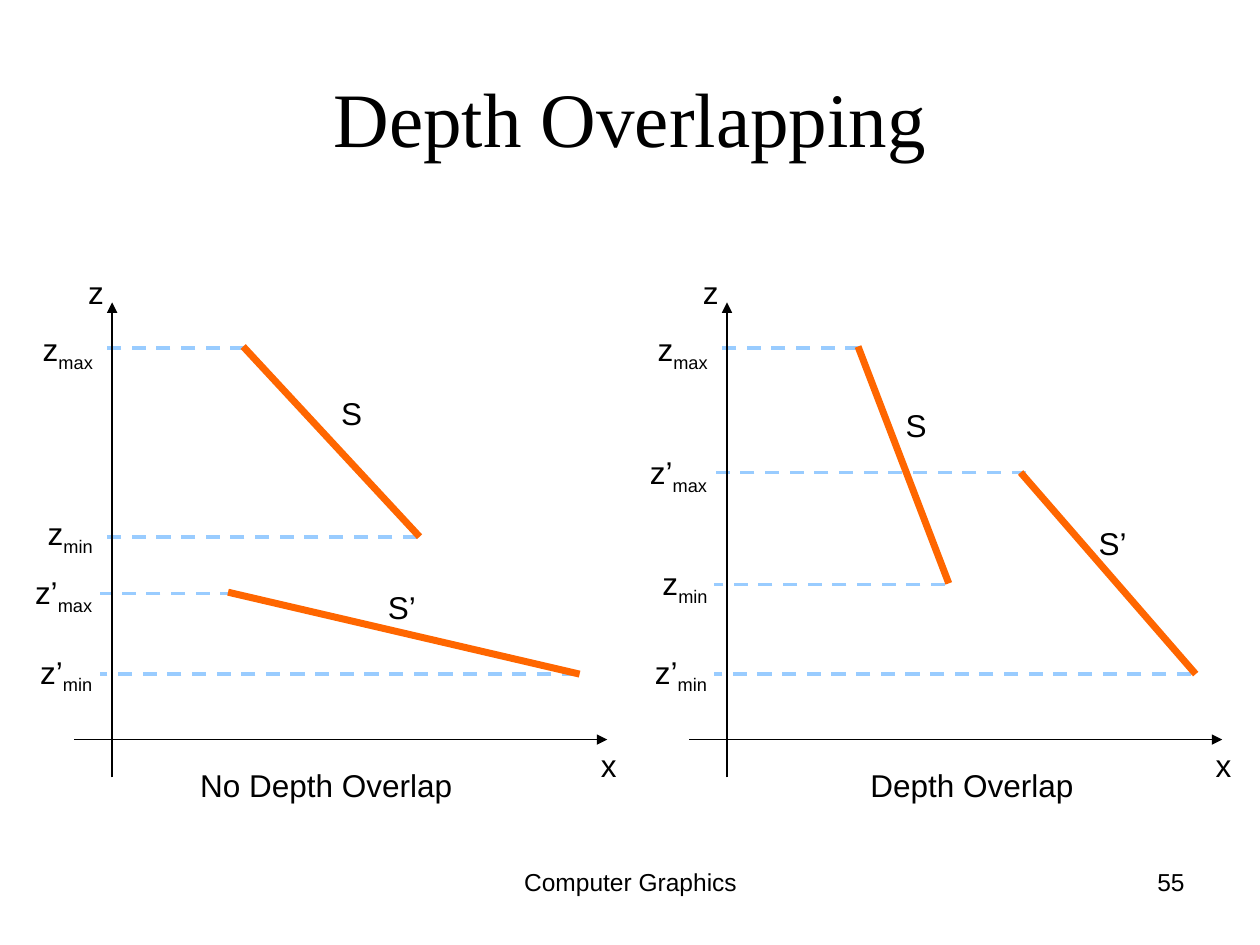
from lxml.etree import SubElement
from pptx import Presentation
from pptx.dml.color import RGBColor
from pptx.enum.dml import MSO_LINE
from pptx.enum.shapes import MSO_CONNECTOR
from pptx.enum.text import MSO_ANCHOR, MSO_AUTO_SIZE, PP_ALIGN
from pptx.oxml.ns import qn
from pptx.util import Inches, Pt

COLORS = {"ink": "000000", "guide": "99CCFF", "surface": "FF6600"}
TITLE = "Depth Overlapping"
LABEL_WIDTHS = {("z", "max"): 0.61, ("z", "min"): 0.57,
                ("z’", "max"): 0.67, ("z’", "min"): 0.63}

# Levels: base, subscript, label top, guide height, guide end.
# Surfaces: name, start, end, name position, name width.
DIAGRAMS = [
    {
        "axis": 0.89,
        "grouped": True,
        "levels": [("z", "max", 2.57, 2.76, 1.94), ("z", "min", 4.03, 4.26, 3.31),
                   ("z’", "max", 4.5, 4.71, 1.86), ("z’", "min", 5.13, 5.35, 4.57)],
        "surfaces": [("S", (1.93, 2.75), (3.33, 4.26), (2.61, 3.08), 0.36),
                     ("S’", (1.81, 4.7), (4.6, 5.35), (2.98, 4.62), 0.42)],
        "caption": ("No Depth Overlap", 1.49, 2.2),
    },
    {
        "axis": 5.77,
        "grouped": False,
        "levels": [("z", "max", 2.57, 2.76, 6.82), ("z", "min", 4.43, 4.64, 7.5),
                   ("z’", "max", 3.55, 3.75, 8.14), ("z’", "min", 5.13, 5.35, 9.45)],
        "surfaces": [("S", (6.81, 2.75), (7.53, 4.63), (7.09, 3.17), 0.36),
                     ("S’", (8.1, 3.75), (9.49, 5.35), (8.62, 4.11), 0.42)],
        "caption": ("Depth Overlap", 6.81, 1.81),
    },
]
FOOTERS = [("Computer Graphics", 3.42, 3.17, PP_ALIGN.CENTER),
           ("55", 7.17, 2.33, PP_ALIGN.RIGHT)]


def set_font(font, size, name="Arial"):
    font.size = Pt(size)
    font.name = name
    font.color.rgb = RGBColor.from_string(COLORS["ink"])


def add_line(shapes, start, end, color, width, dashed=False, arrow=False):
    line = shapes.add_connector(MSO_CONNECTOR.STRAIGHT,
                                *(Inches(value) for value in (*start, *end)))
    line.line.color.rgb = RGBColor.from_string(COLORS[color])
    line.line.width = Pt(width)
    if dashed:
        line.line.dash_style = MSO_LINE.DASH
    if arrow:
        SubElement(line.line._get_or_add_ln(), qn("a:tailEnd"), type="triangle")
    SubElement(line._element.spPr, qn("a:effectLst"))


def add_label(shapes, text, left, top, width, subscript=""):
    height = 0.44 if subscript else 0.4
    box = shapes.add_textbox(Inches(left), Inches(top), Inches(width), Inches(height))
    box.text_frame.word_wrap = False
    box.text_frame.auto_size = MSO_AUTO_SIZE.SHAPE_TO_FIT_TEXT
    para = box.text_frame.paragraphs[0]
    para.text = text
    if subscript:
        span = para.add_run()
        span.text = subscript
        span.font._element.set("baseline", "-25000")
    for span in para.runs:
        set_font(span.font, 18)


def add_diagram(page, diagram):
    shapes = page.shapes.add_group_shape().shapes if diagram["grouped"] else page.shapes
    axis = diagram["axis"]
    for *_, height, end in diagram["levels"]:
        add_line(shapes, (end, height), (axis - 0.1, height), "guide", 2, dashed=True)
    add_line(shapes, (axis, 6.17), (axis, 2.4), "ink", 1, arrow=True)
    add_line(shapes, (axis - 0.3, 5.87), (axis + 3.93, 5.87), "ink", 1, arrow=True)
    for _, start, end, *_ in diagram["surfaces"]:
        add_line(shapes, start, end, "surface", 4)
    for name, _, _, (left, top), width in diagram["surfaces"]:
        add_label(shapes, name, left, top, width)
    for base, subscript, top, *_ in diagram["levels"]:
        width = LABEL_WIDTHS[base, subscript]
        add_label(shapes, base, axis - 0.04 - width, top, width, subscript)
    add_label(shapes, "x", axis + 3.78, 5.87, 0.32)
    add_label(shapes, "z", axis - 0.29, 2.12, 0.32)
    caption, left, width = diagram["caption"]
    add_label(page.shapes, caption, left, 6.03, width)


def main():
    deck = Presentation()
    deck.slide_width, deck.slide_height = Inches(10), Inches(7.5)
    page = deck.slides.add_slide(deck.slide_layouts[5])

    title = page.shapes.title
    title.left, title.top = Inches(0.5), Inches(0.3)
    title.width, title.height = Inches(9), Inches(1.25)
    title.text_frame.text = TITLE
    title.text_frame.vertical_anchor = MSO_ANCHOR.MIDDLE
    para = title.text_frame.paragraphs[0]
    para.alignment = PP_ALIGN.CENTER
    set_font(para.runs[0].font, 44, "Times New Roman")

    for diagram in DIAGRAMS:
        add_diagram(page, diagram)

    for text, left, width, alignment in FOOTERS:
        box = page.shapes.add_textbox(Inches(left), Inches(6.83), Inches(width), Inches(0.52))
        box.text_frame.word_wrap = True
        para = box.text_frame.paragraphs[0]
        para.text = text
        para.alignment = alignment
        set_font(para.runs[0].font, 14)

    deck.save("out.pptx")


if __name__ == "__main__":
    main()
